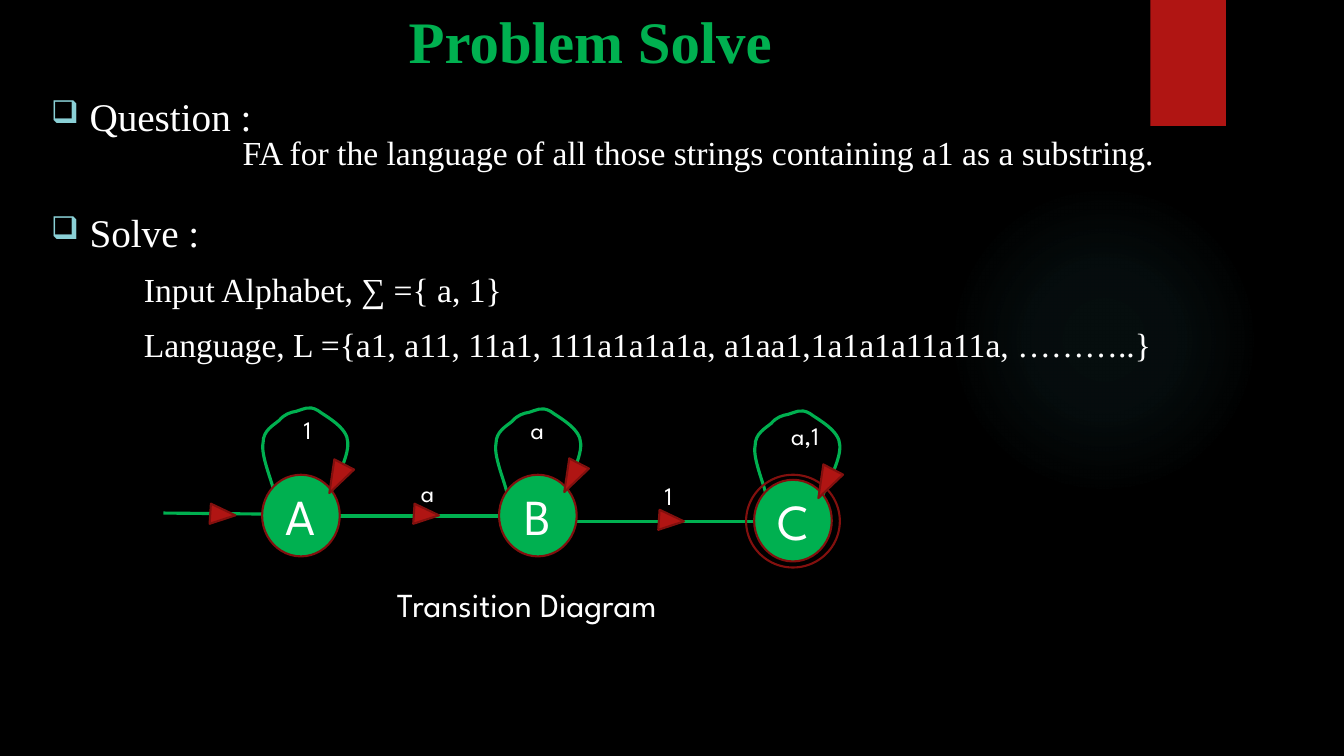
import math

import pptx
import pptx.util
import pptx.dml.color
import pptx.enum.shapes
import pptx.enum.text
import pptx.oxml
import pptx.oxml.ns
import lxml.etree

SCALE = 9144
RGBColor = pptx.dml.color.RGBColor
SHAPE = pptx.enum.shapes.MSO_SHAPE
ALIGN = pptx.enum.text.PP_ALIGN
ANCHOR = pptx.enum.text.MSO_ANCHOR
BLACK = RGBColor(0x00, 0x00, 0x00)
WHITE = RGBColor(0xFF, 0xFF, 0xFF)
GREEN = RGBColor(0x00, 0xB0, 0x50)
RED = RGBColor(0xB0, 0x15, 0x13)
DARK_RED = RGBColor(0x82, 0x10, 0x0E)
SERIF = "Times New Roman"
SPARTAN = "League Spartan"


def add_figure(kind, place, fill=None, line=None, rotation=0):
    figure = page.shapes.add_shape(kind, *[v * SCALE for v in place])
    figure.shadow.inherit = False
    figure.rotation = rotation
    if fill is None:
        figure.fill.background()
    else:
        figure.fill.solid()
        figure.fill.fore_color.rgb = fill
    if line is None:
        figure.line.fill.background()
    else:
        figure.line.color.rgb = line
        figure.line.width = pptx.util.Pt(1.5)
    return figure


def write_line(para, text, size, name=SPARTAN, color=WHITE, bold=False, align=ALIGN.CENTER):
    para.alignment = align
    span = para.add_run()
    span.text = text
    for key, value in {"size": pptx.util.Pt(size), "name": name, "bold": bold}.items():
        setattr(span.font, key, value)
    span.font.color.rgb = color


deck = pptx.Presentation()
deck.slide_width = 1333 * SCALE
deck.slide_height = 750 * SCALE
page = deck.slides.add_slide(deck.slide_layouts[6])
page.background.fill.solid()
page.background.fill.fore_color.rgb = BLACK

glow = add_figure(SHAPE.OVAL, (941, 183, 308, 308))
stops = "".join(
    f'<a:gs pos="{pos}000"><a:srgbClr val="50B9C1"><a:alpha val="{alpha}000"/></a:srgbClr></a:gs>'
    for pos, alpha in ((0, 7), (36, 6), (69, 0))
)
gradient = pptx.oxml.parse_xml(
    f'<a:gradFill {pptx.oxml.ns.nsdecls("a")}><a:gsLst>{stops}</a:gsLst><a:path path="circle">'
    '<a:fillToRect l="50000" t="50000" r="50000" b="50000"/></a:path></a:gradFill>'
)
no_fill = glow._element.spPr.find(pptx.oxml.ns.qn("a:noFill"))
glow._element.spPr.replace(no_fill, gradient)
add_figure(SHAPE.RECTANGLE, (1141, 0, 75, 125), RED)

LOOP_LEFT, LOOP_TOP, LOOP_WIDTH, LOOP_HEIGHT = 162, 437, 240, 205
LOOP_ROTATION = 316.2
LOOP_POINTS = [
    (272, 491),
    (273, 484), (258, 453), (261, 439),
    (261, 427), (271, 422), (277, 417),
    (282, 411), (288, 409), (294, 408),
    (301, 406), (306, 402), (315, 407),
    (323, 413), (345, 424), (345, 439),
    (346, 455), (330, 481), (325, 496),
]
turn = math.radians(-LOOP_ROTATION)
turned = []
for x, y in LOOP_POINTS:
    dx = x - LOOP_LEFT - LOOP_WIDTH / 2
    dy = y - LOOP_TOP - LOOP_HEIGHT / 2
    turned.append((
        round((dx * math.cos(turn) - dy * math.sin(turn) + LOOP_WIDTH / 2) * SCALE),
        round((dx * math.sin(turn) + dy * math.cos(turn) + LOOP_HEIGHT / 2) * SCALE),
    ))

for left, top in ((650, 440), (393, 438), (162, 437)):
    builder = page.shapes.build_freeform(*turned[0])
    builder.add_line_segments(turned[1:], close=False)
    loop = builder.convert_to_shape()
    outline = loop._element.spPr.find(".//" + pptx.oxml.ns.qn("a:path"))
    for child in list(outline):
        outline.remove(child)
    outline.set("w", str(LOOP_WIDTH * SCALE))
    outline.set("h", str(LOOP_HEIGHT * SCALE))
    pieces = [("a:moveTo", turned[:1])]
    pieces += [("a:cubicBezTo", turned[i:i + 3]) for i in range(1, len(turned), 3)]
    for tag, points in pieces:
        piece = lxml.etree.SubElement(outline, pptx.oxml.ns.qn(tag))
        for x, y in points:
            lxml.etree.SubElement(piece, pptx.oxml.ns.qn("a:pt"), x=str(x), y=str(y))
    frame = {"left": left, "top": top, "width": LOOP_WIDTH, "height": LOOP_HEIGHT}
    for key, value in frame.items():
        setattr(loop, key, value * SCALE)
    loop.rotation = LOOP_ROTATION
    loop.shadow.inherit = False
    loop.fill.background()
    loop.line.color.rgb = GREEN
    loop.line.width = pptx.util.Pt(2.25)

body = page.shapes.add_textbox(*[v * SCALE for v in (41, 87, 1216, 637)])
body.text_frame.word_wrap = True
body_lines = [
    ("Question :", 28, 0, True),
    ("Solve :", 28, 49, True),
    ("Input Alphabet, ∑ ={ a, 1}", 24, 10, False),
    ("Language, L ={a1, a11, 11a1, 111a1a1a1a, a1aa1,1a1a1a11a11a, ………..}", 24, 10, False),
]
for index, (text, size, before, bulleted) in enumerate(body_lines):
    para = body.text_frame.add_paragraph() if index else body.text_frame.paragraphs[0]
    para.space_before = pptx.util.Pt(before)
    props = para._p.get_or_add_pPr()
    props.set("marL", str((38 if bulleted else 92) * SCALE))
    if bulleted:
        props.set("indent", str(-38 * SCALE))
        color = lxml.etree.SubElement(props, pptx.oxml.ns.qn("a:buClr"))
        lxml.etree.SubElement(color, pptx.oxml.ns.qn("a:srgbClr"), val="8AD0D6")
        lxml.etree.SubElement(props, pptx.oxml.ns.qn("a:buSzPct"), val="80000")
        lxml.etree.SubElement(props, pptx.oxml.ns.qn("a:buFont"), typeface="Wingdings", charset="2")
        lxml.etree.SubElement(props, pptx.oxml.ns.qn("a:buChar"), char="q")
    write_line(para, text, size, SERIF, align=ALIGN.LEFT)

for x1, y1, x2, y2 in ((162, 509, 264, 510), (337, 512, 495, 512), (569, 517, 748, 517)):
    edge = page.shapes.add_connector(
        pptx.enum.shapes.MSO_CONNECTOR.STRAIGHT, *[v * SCALE for v in (x1, y1, x2, y2)]
    )
    edge.line.color.rgb = GREEN
    edge.line.width = pptx.util.Pt(2.25)
    lxml.etree.SubElement(edge._element.spPr, pptx.oxml.ns.qn("a:effectLst"))

for name, left, top in (("A", 260, 471), ("B", 495, 471), ("C", 748, 476)):
    state = add_figure(SHAPE.OVAL, (left, top, 77, 81), GREEN, DARK_RED)
    state.text_frame.word_wrap = False
    state.text_frame.vertical_anchor = ANCHOR.MIDDLE
    write_line(state.text_frame.paragraphs[0], name, 36)
add_figure(SHAPE.OVAL, (740, 471, 93, 92), None, DARK_RED)

for left, top in ((211, 498), (413, 498), (656, 504)):
    add_figure(SHAPE.ISOSCELES_TRIANGLE, (left, top, 20, 25), RED, DARK_RED, 93.7)
for left, top in ((323, 459), (556, 458), (808, 464)):
    add_figure(SHAPE.ISOSCELES_TRIANGLE, (left, top, 22, 32), RED, DARK_RED, 207.4)

labels = [
    ("Problem Solve", (68, 4, 1035, 72), 42, SERIF, GREEN, True),
    ("FA for the language of all those strings containing a1 as a substring.",
     (193, 126, 999, 50), 24, SERIF, WHITE, False),
    ("Transition Diagram", (298, 568, 449, 63), 24, SPARTAN, WHITE, False),
    ("1", (275, 408, 60, 37), 18, SPARTAN, WHITE, False),
    ("a", (503, 408, 60, 37), 18, SPARTAN, WHITE, False),
    ("a,1", (760, 412, 77, 40), 18, SPARTAN, WHITE, False),
    ("a", (394, 470, 60, 37), 18, SPARTAN, WHITE, False),
    ("1", (633, 473, 60, 37), 18, SPARTAN, WHITE, False),
]
for text, place, size, font, color, bold in labels:
    box = page.shapes.add_textbox(*[v * SCALE for v in place])
    box.text_frame.word_wrap = True
    box.text_frame.vertical_anchor = ANCHOR.MIDDLE
    write_line(box.text_frame.paragraphs[0], text, size, font, color, bold)

deck.save("out.pptx")
